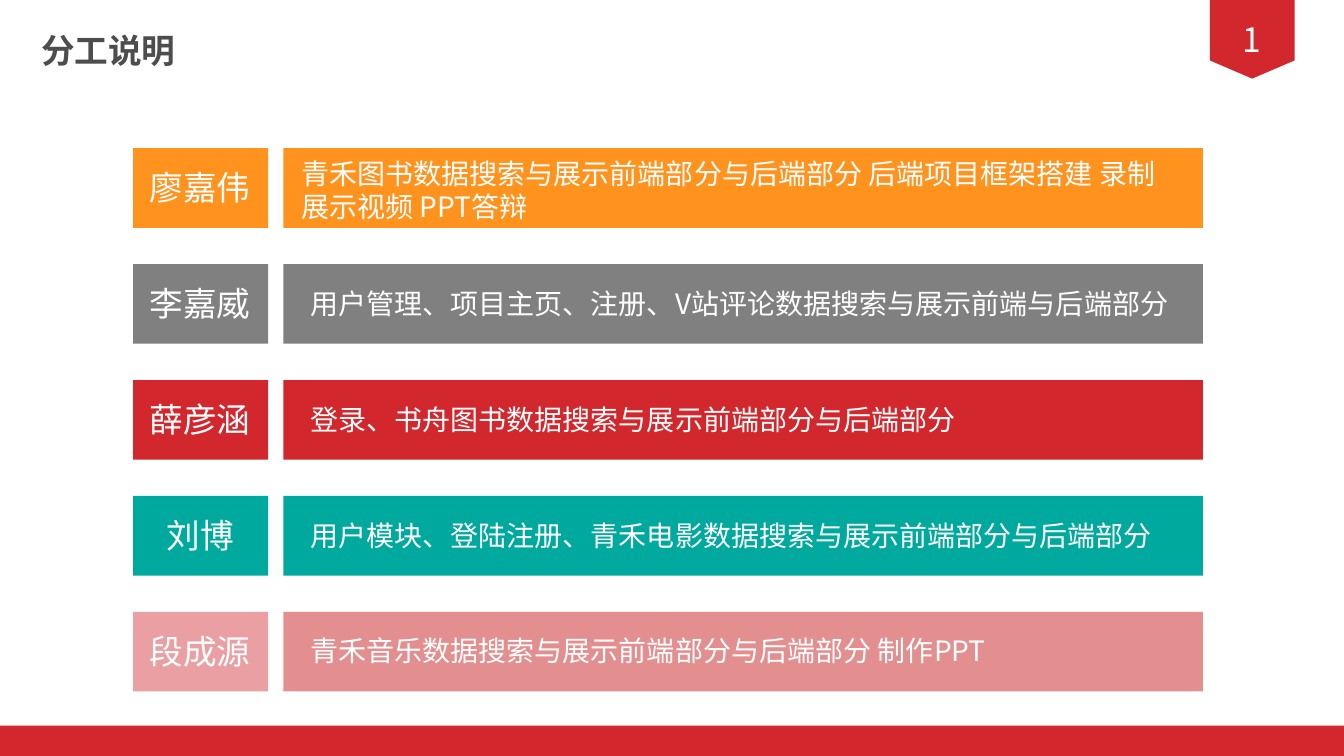
"""Build a slide that lists which team member did which part of a project."""
from dataclasses import dataclass

from lxml.etree import SubElement
from pptx import Presentation
from pptx.dml.color import RGBColor
from pptx.enum.shapes import MSO_SHAPE
from pptx.enum.text import MSO_ANCHOR, MSO_AUTO_SIZE, PP_ALIGN
from pptx.oxml.ns import qn
from pptx.shapes.autoshape import Shape
from pptx.slide import Slide
from pptx.util import Inches, Pt

FONT = "Noto Sans CJK SC"
WHITE = "FFFFFF"
RED = "D1272D"
ROW_TOP, ROW_STEP, ROW_HEIGHT = 1.47, 1.15, 0.79
NAME_LEFT, NAME_WIDTH = 1.32, 1.34
DUTY_LEFT, DUTY_WIDTH = 2.81, 9.12


@dataclass(frozen=True)
class Member:
    name: str
    duty: str
    name_fill: str
    duty_fill: str
    opacity: int = 100
    text_left: float = 2.98
    text_drop: float = 0.17
    text_width: float = 8.94
    text_height: float = 0.44


MEMBERS = [
    Member("廖嘉伟", "青禾图书数据搜索与展示前端部分与后端部分 后端项目框架搭建 录制展示视频 PPT答辩",
           "FF931E", "FF931E", text_left=2.89, text_drop=0.03, text_width=8.76, text_height=0.77),
    Member("李嘉威", "用户管理、项目主页、注册、V站评论数据搜索与展示前端与后端部分", "808080", "808080"),
    Member("薛彦涵", "登录、书舟图书数据搜索与展示前端部分与后端部分", RED, RED),
    Member("刘博", "用户模块、登陆注册、青禾电影数据搜索与展示前端部分与后端部分", "00A99D", "00A99D"),
    Member("段成源", "青禾音乐数据搜索与展示前端部分与后端部分 制作PPT", RED, "C00000", opacity=44),
]


def paint(shape: Shape, color: str, opacity: int = 100) -> None:
    """Give a shape a flat fill with no outline or shadow."""
    shape.shadow.inherit = False
    shape.line.fill.background()
    shape.fill.solid()
    shape.fill.fore_color.rgb = RGBColor.from_string(color)
    if opacity < 100:
        color_element = shape.fill._xPr.find(qn("a:solidFill"))[0]
        SubElement(color_element, qn("a:alpha"), val=str(opacity * 1000))


def add_bar(page: Slide, left: float, top: float, width: float, height: float,
            color: str, opacity: int = 100) -> None:
    """Draw a filled rectangle."""
    bar = page.shapes.add_shape(MSO_SHAPE.RECTANGLE, Inches(left), Inches(top),
                                Inches(width), Inches(height))
    paint(bar, color, opacity)


def write(shape: Shape, text: str, size: int, color: str = WHITE,
          align: PP_ALIGN = PP_ALIGN.LEFT, bold: bool = False) -> None:
    """Put one styled paragraph into a shape."""
    para = shape.text_frame.paragraphs[0]
    para.alignment = align
    para.font.size = Pt(size)
    para.font.bold = bold
    para.font.name = FONT
    para.font.color.rgb = RGBColor.from_string(color)
    span = para.add_run()
    span.text = text
    SubElement(span._r.get_or_add_rPr(), qn("a:ea"), typeface=FONT)


def add_text(page: Slide, left: float, top: float, width: float, height: float,
             text: str, size: int, color: str = WHITE, align: PP_ALIGN = PP_ALIGN.LEFT,
             bold: bool = False, wrap: bool = True) -> None:
    """Place a text box that grows with its text."""
    box = page.shapes.add_textbox(Inches(left), Inches(top), Inches(width), Inches(height))
    box.text_frame.word_wrap = wrap
    box.text_frame.auto_size = MSO_AUTO_SIZE.SHAPE_TO_FIT_TEXT
    write(box, text, size, color, align, bold)


def add_page_flag(page: Slide, number: str) -> None:
    """Draw the pointed flag that holds the page number."""
    builder = page.shapes.build_freeform(Inches(12), Inches(0.6))
    corners = [(12, 0), (12.84, 0), (12.84, 0.6), (12.42, 0.78)]
    builder.add_line_segments([(Inches(x), Inches(y)) for x, y in corners], close=True)
    flag = builder.convert_to_shape()
    paint(flag, RED)
    flag.text_frame.vertical_anchor = MSO_ANCHOR.MIDDLE
    write(flag, number, 24, align=PP_ALIGN.CENTER)


def add_member(page: Slide, member: Member, top: float) -> None:
    """Draw one row: a name block and a duty bar."""
    add_bar(page, NAME_LEFT, top, NAME_WIDTH, ROW_HEIGHT, member.name_fill, member.opacity)
    add_bar(page, DUTY_LEFT, top, DUTY_WIDTH, ROW_HEIGHT, member.duty_fill, member.opacity)
    add_text(page, 1.36, top + 0.14, 1.25, 0.5, member.name, 24, align=PP_ALIGN.CENTER)
    add_text(page, member.text_left, top + member.text_drop, member.text_width,
             member.text_height, member.duty, 20)


def main() -> None:
    """Build and save the deck."""
    deck = Presentation()
    deck.slide_width, deck.slide_height = Inches(13.33), Inches(7.5)
    page = deck.slides.add_slide(deck.slide_layouts[6])
    add_page_flag(page, "1")
    add_bar(page, 0, 7.2, 13.33, 0.3, RED)
    add_text(page, 0.31, 0.25, 1.53, 0.5, "分工说明", 24, "4D4D4D", bold=True, wrap=False)
    for index, member in enumerate(MEMBERS):
        add_member(page, member, ROW_TOP + index * ROW_STEP)
    deck.save("out.pptx")


if __name__ == "__main__":
    main()
